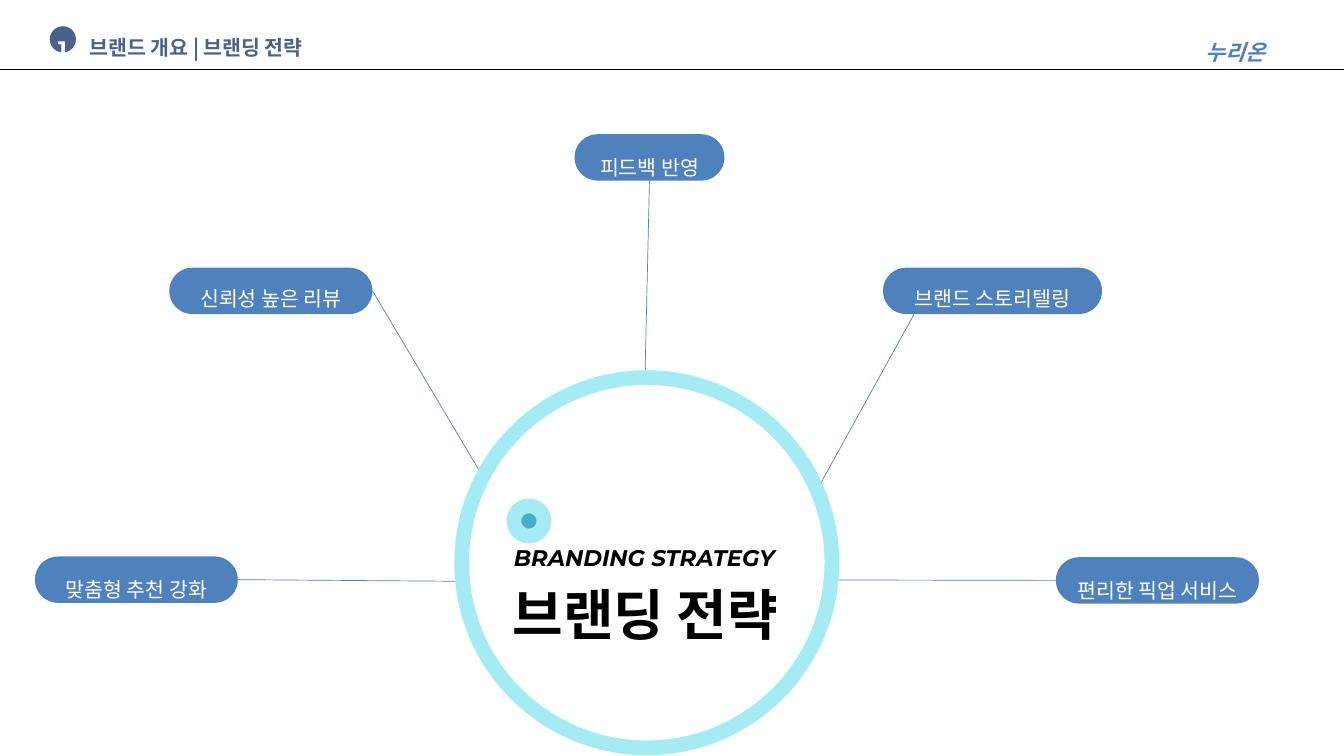
from lxml import etree
from pptx import Presentation
from pptx.dml.color import RGBColor
from pptx.enum.shapes import MSO_CONNECTOR, MSO_SHAPE
from pptx.enum.text import MSO_ANCHOR, MSO_AUTO_SIZE, PP_ALIGN
from pptx.oxml.ns import qn
from pptx.util import Pt

STRAIGHT = MSO_CONNECTOR.STRAIGHT
OVAL, PILL = MSO_SHAPE.OVAL, MSO_SHAPE.ROUNDED_RECTANGLE
TOP, NO_FIT = MSO_ANCHOR.TOP, MSO_AUTO_SIZE.NONE
LEFT, CENTER = PP_ALIGN.LEFT, PP_ALIGN.CENTER

BLACK = RGBColor(0x00, 0x00, 0x00)
WHITE = RGBColor(0xFF, 0xFF, 0xFF)
BLUE = RGBColor(0x4F, 0x81, 0xBD)
NAVY = RGBColor(0x4A, 0x62, 0x8A)
TEAL = RGBColor(0x4B, 0xAC, 0xC6)
AQUA = RGBColor(0xA4, 0xEB, 0xF3)

KOREAN, LATIN = "Noto Sans CJK KR", "Montserrat"
WIDTH, HEIGHT = 1440, 810
PILL_HEIGHT = 49.7
RING_LINE = 15.75

STRATEGIES = [
    ("맞춤형 추천 강화", (37.4, 596.2, 217.4), 4.4, 3, (488.2, 622.8)),
    ("신뢰성 높은 리뷰", (181.4, 286.8, 217.7), 1.4, 3, (513.4, 504)),
    ("피드백 반영", (615.6, 143.8, 160.6), 4.4, 2, (691.2, 397.4)),
    ("브랜드 스토리텔링", (946.1, 286.8, 234.7), 1.4, None, (879.8, 517)),
    ("편리한 픽업 서비스", (1131.3, 597, 217.6), 4.4, 1, (883.4, 621.4)),
]
STORY_START = (979.2, 337)


def write(s, text, size, color, font=KOREAN, bold=True, italic=False, align=LEFT, inset=0):
    """Write one formatted paragraph into a shape."""
    tf = s.text_frame
    tf.auto_size, tf.word_wrap, tf.vertical_anchor = NO_FIT, True, TOP
    tf.margin_left = tf.margin_right = tf.margin_bottom = 0
    tf.margin_top = Pt(inset)
    tf.text = text
    p = tf.paragraphs[0]
    p.alignment, p.line_spacing = align, 1.4
    p.font.size, p.font.bold, p.font.italic = Pt(size), bold, italic
    p.font.color.rgb = color
    p.font.name = font
    props = p._p.pPr.find(qn("a:defRPr"))
    etree.SubElement(props, qn("a:ea")).set("typeface", font)


def add_text(s, box, text, size, color, **style):
    """Add a text box."""
    write(s.shapes.add_textbox(*map(Pt, box)), text, size, color, **style)


def add_figure(s, kind, box, fill=None, line=None):
    """Add a preset shape with an optional fill and thick outline."""
    sp = s.shapes.add_shape(kind, *map(Pt, box))
    sp.shadow.inherit = False
    if fill is None:
        sp.fill.background()
    else:
        sp.fill.solid()
        sp.fill.fore_color.rgb = fill
    if line is None:
        sp.line.fill.background()
    else:
        sp.line.color.rgb, sp.line.width = line, Pt(RING_LINE)
    return sp


def add_line(s, start, end, color):
    """Add a thin straight connector without a shadow."""
    line = s.shapes.add_connector(STRAIGHT, *map(Pt, start + end))
    line.line.color.rgb, line.line.width = color, Pt(0.75)
    etree.SubElement(line._element.spPr, qn("a:effectLst"))
    return line


def add_header(s, box):
    """Place the badge, title, brand name and rule of the header."""
    left, top, width, height = box
    add_line(s, (left, top + height), (left + width, top + height), BLACK)
    add_figure(s, OVAL, (left + 53.3, top + 28.1, 28.1, 28.1), NAVY)
    add_text(s, (left + 59.8, top + 25.9, 14.4, 28.8), "1", 23.9, WHITE, font=LATIN, align=CENTER)
    title = s.shapes.title
    title.left, title.top, title.width, title.height = map(Pt, (left + 95.8, top + 26.6, 458.6, 26.6))
    write(title, "브랜드 개요 | 브랜딩 전략", 22, NAVY)
    add_text(s, (left + width - 148.3, top + 31, 130.3, 28.1), "누리온", 23, BLUE, italic=True)


def add_strategy(s, box, label, inset, side, end):
    """Place a labelled pill and its spoke to the ring."""
    pill = add_figure(s, PILL, box, BLUE)
    pill.adjustments[0] = 0.5
    write(pill, label, 22, WHITE, bold=False, align=CENTER, inset=inset)
    spoke = add_line(s, STORY_START, end, BLUE)
    if side is not None:
        spoke.begin_connect(pill, side)


def add_hub(s, box):
    """Place the central ring with its dot and headings."""
    left, top, _, _ = box
    add_figure(s, OVAL, box, line=AQUA)
    add_figure(s, OVAL, (left + 56, top + 137.5, 32.2, 32.2), TEAL, AQUA)
    add_text(s, (left + 56, top + 167, 286.6, 29.5), "BRANDING STRATEGY", 24.2, BLACK,
             font=LATIN, italic=True)
    add_text(s, (left + 54.7, top + 189.4, 316.8, 71.3), "브랜딩 전략", 58.9, BLACK)


def main():
    """Build the branding strategy slide."""
    prs = Presentation()
    prs.slide_width, prs.slide_height = Pt(WIDTH), Pt(HEIGHT)
    s = prs.slides.add_slide(prs.slide_layouts[5])
    add_header(s, (0, 0, WIDTH, 74.2))
    for label, place, inset, side, end in STRATEGIES:
        add_strategy(s, place + (PILL_HEIGHT,), label, inset, side, end)
    add_hub(s, (494.6, 404.6, 396.7, 396.7))
    prs.save("out.pptx")


if __name__ == "__main__":
    main()
